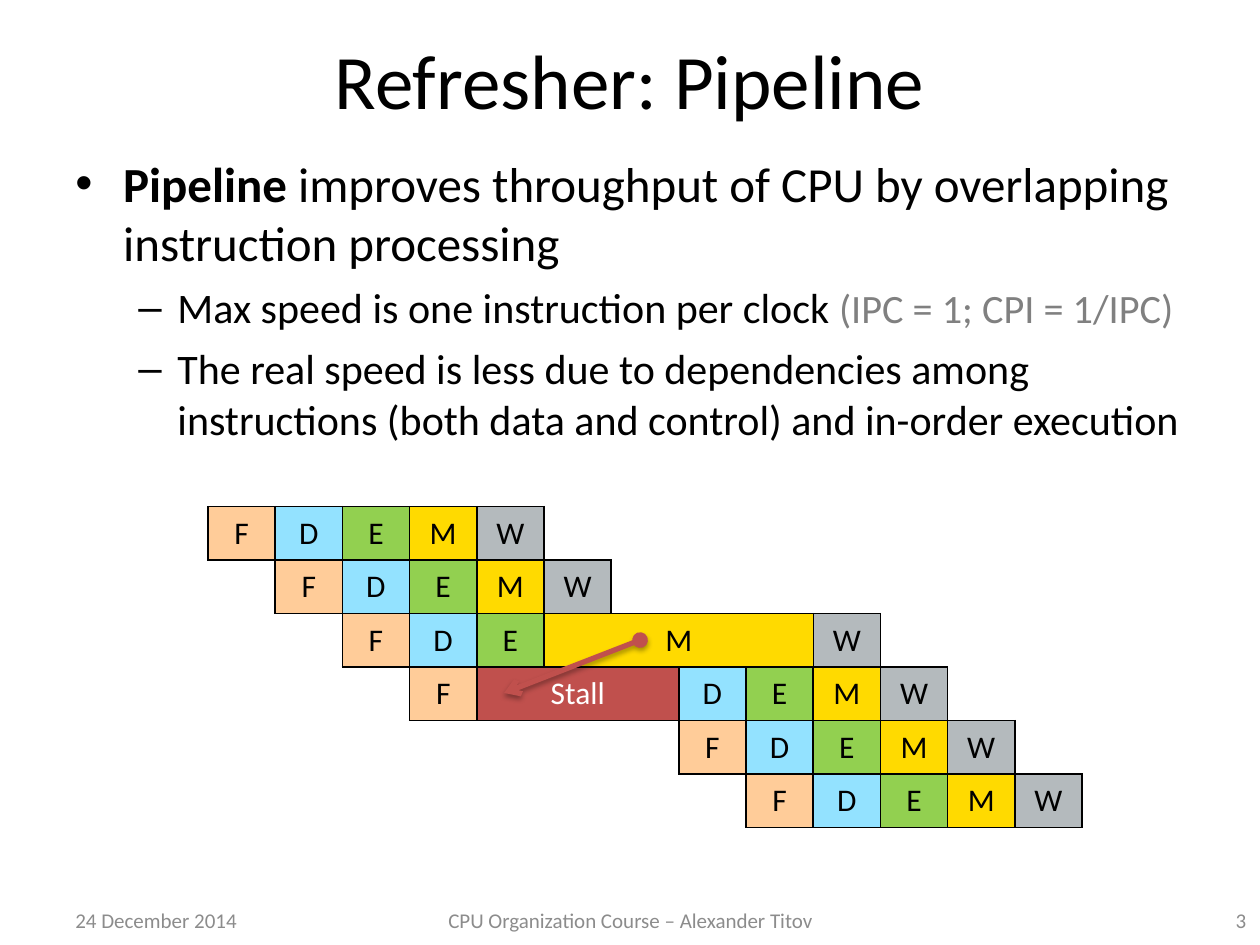
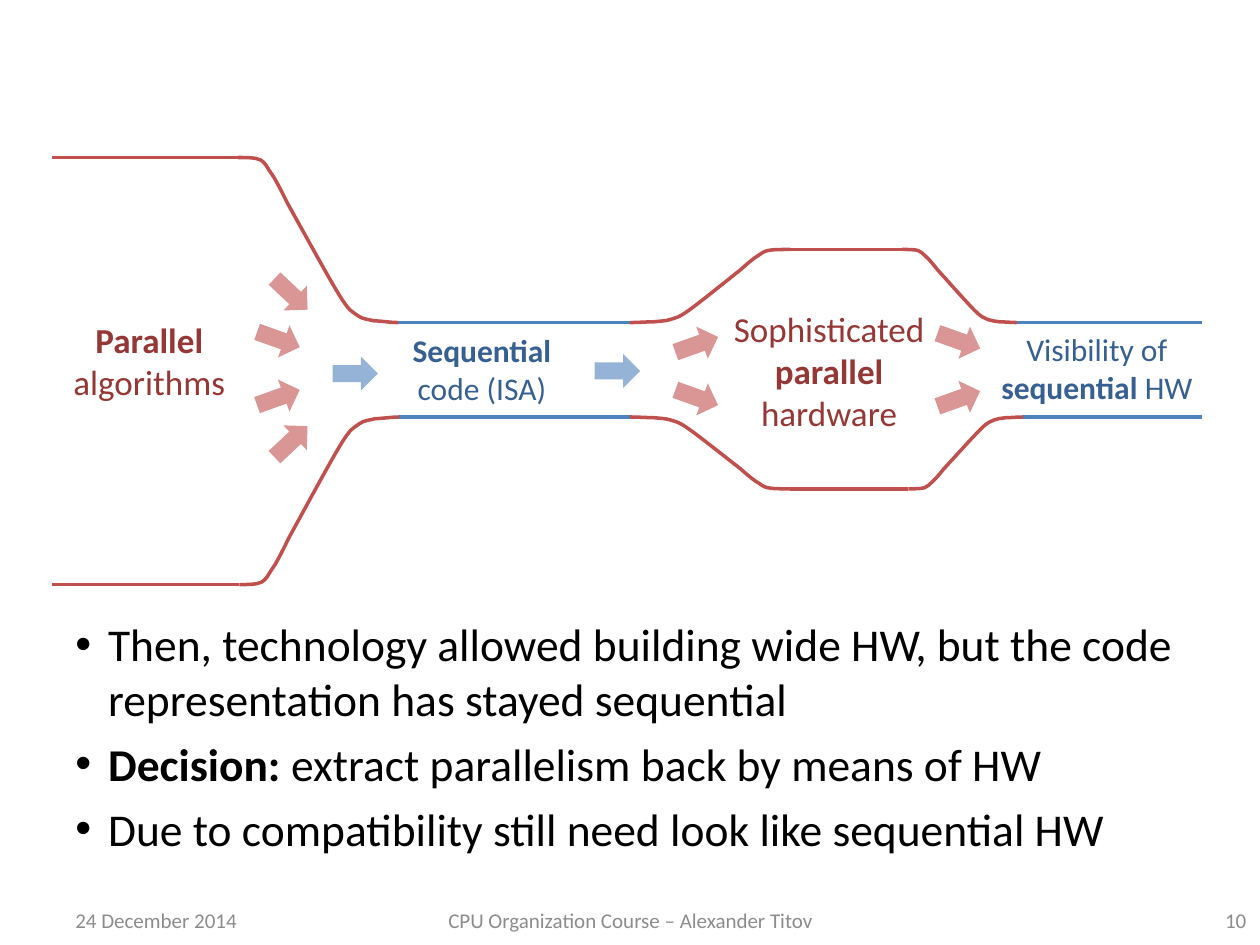
from lxml.etree import SubElement
from pptx import Presentation
from pptx.dml.color import RGBColor
from pptx.enum.shapes import MSO_CONNECTOR, MSO_SHAPE
from pptx.enum.text import MSO_ANCHOR, PP_ALIGN
from pptx.oxml import parse_xml
from pptx.oxml.ns import nsdecls, qn
from pptx.util import Inches, Pt

FONT = "Calibri"
BLACK, WHITE, GRAY, FOOTER_GRAY = "000000", "FFFFFF", "808080", "8C8C8C"
RED, DARK_RED, LIGHT_RED = "C0504D", "953735", "D99694"
BLUE, DARK_BLUE, LIGHT_BLUE = "4F81BD", "376092", "95B3D7"
NO_STYLE = "{2D5ABB26-0587-4C30-8999-92F81FD0307C}"
BOLD = {"bold": True}

STAGES = {
    "F": ("F", "FFCC99", BLACK),
    "D": ("D", "93E2FF", BLACK),
    "E": ("E", "92D050", BLACK),
    "M": ("M", "FFDA00", BLACK),
    "W": ("W", "B4BABD", BLACK),
    "S": ("Stall", RED, WHITE),
}
CLOCKS, INSTRUCTIONS = 13, 6
PIPELINE_TABLES = [
    (0, 0, (1,) * 10, ["FDEMW....-", ".FDEMW....", ".-FDE....."]),
    (3, 3, (1,) * 4, ["FS--", "....", "...."]),
    (7, 3, (1,) * 6, ["DEMW..", "FDEMW.", ".FDEMW"]),
    (5, 2, (4, 1), ["MW"]),
]
BEND = [
    (0, 0), (.055, 0), (.11, 0), (.14, .015), (.17, .03), (.18, .06), (.21, .1),
    (.24, .14), (.31, .28), (.31, .28), (.38, .4), (.56, .72), (.63, .83),
    (.7, .94), (.71, .93), (.75, .96), (.78, .98), (.81, .98), (.85, .99),
    (.89, .99), (.95, 1), (1, 1),
]


def color(value):
    return RGBColor.from_string(value)


def set_bullet(paragraph, symbol, margin, indent):
    properties = paragraph._p.get_or_add_pPr()
    properties.set("marL", str(Inches(margin)))
    properties.set("indent", str(Inches(-indent)))
    SubElement(properties, qn("a:buFont")).set("typeface", "Arial")
    SubElement(properties, qn("a:buChar")).set("char", symbol)


def format_run(run, size, tint, bold=False):
    run.font.name = FONT
    run.font.size = Pt(size)
    run.font.bold = bold
    run.font.color.rgb = color(tint)


def add_runs(paragraph, runs, size, tint):
    for text, changes in runs:
        run = paragraph.add_run()
        run.text = text
        format_run(run, **{"size": size, "tint": tint, **changes})


def add_text(slide, box, paragraphs, size, tint=BLACK, align=PP_ALIGN.LEFT,
             anchor=MSO_ANCHOR.TOP):
    frame = slide.shapes.add_textbox(*map(Inches, box)).text_frame
    frame.word_wrap = True
    frame.vertical_anchor = anchor
    for index, runs in enumerate(paragraphs):
        paragraph = frame.add_paragraph() if index else frame.paragraphs[0]
        paragraph.alignment = align
        add_runs(paragraph, runs, size, tint)
    return frame


def add_bullets(slide, box, items):
    frame = add_text(slide, box, [], 28)
    for index, (runs, size, symbol, margin, indent) in enumerate(items):
        paragraph = frame.add_paragraph() if index else frame.paragraphs[0]
        set_bullet(paragraph, symbol, margin, indent)
        if index:
            paragraph.space_before = Pt(6)
        add_runs(paragraph, runs, size, BLACK)


def add_title(slide, text):
    add_text(slide, (0.5, 0, 9, 1.25), [[(text, {})]], 44,
             align=PP_ALIGN.CENTER, anchor=MSO_ANCHOR.MIDDLE)


def add_footer(slide, number):
    parts = [
        (0.5, 2.33, "24 December 2014", PP_ALIGN.LEFT),
        (3.42, 3.17, "CPU Organization Course – Alexander Titov", PP_ALIGN.CENTER),
        (7.66, 2.33, str(number), PP_ALIGN.RIGHT),
    ]
    for left, width, text, align in parts:
        add_text(slide, (left, 7.1, width, 0.4), [[(text, {})]], 12, FOOTER_GRAY,
                 align, MSO_ANCHOR.MIDDLE)


def add_line(slide, start, end, tint, width):
    line = slide.shapes.add_connector(MSO_CONNECTOR.STRAIGHT,
                                      *map(Inches, (*start, *end)))
    line.line.color.rgb = color(tint)
    line.line.width = Pt(width)
    effects = SubElement(line._element.spPr, qn("a:effectLst"))
    return line, effects


def add_borders(cell):
    properties = cell._tc.get_or_add_tcPr()
    for position, side in enumerate("LRTB"):
        properties.insert(position, parse_xml(
            f'<a:ln{side} {nsdecls("a")} w="{Pt(1)}"><a:solidFill>'
            f'<a:srgbClr val="{BLACK}"/></a:solidFill></a:ln{side}>'))


def fill_stage(cells, stage):
    text, fill, tint = STAGES[stage]
    for cell in cells:
        cell.fill.solid()
        cell.fill.fore_color.rgb = color(fill)
        add_borders(cell)
    cells[0].vertical_anchor = MSO_ANCHOR.MIDDLE
    paragraph = cells[0].text_frame.paragraphs[0]
    paragraph.text = text
    paragraph.alignment = PP_ALIGN.CENTER
    format_run(paragraph.runs[0], 18, tint)


def add_stage_table(slide, left, top, widths, height, lines):
    table = slide.shapes.add_table(
        len(lines), len(widths),
        *map(Inches, (left, top, sum(widths), height * len(lines)))).table
    table.first_row = table.horz_banding = False
    table._tbl.tblPr.find(qn("a:tableStyleId")).text = NO_STYLE
    for column, width in zip(table.columns, widths):
        column.width = Inches(width)
    for row, stages in enumerate(lines):
        table.rows[row].height = Inches(height)
        for column, stage in enumerate(stages):
            if stage == "-":
                continue
            rest = stages[column + 1:]
            span = 1 + len(rest) - len(rest.lstrip("-"))
            cells = [table.cell(row, column + offset) for offset in range(span)]
            if span > 1:
                cells[0].merge(cells[-1])
            if stage in STAGES:
                fill_stage(cells, stage)


def add_pipeline(slide, box):
    left, top, width, height = box
    clock, step = width / CLOCKS, height / INSTRUCTIONS
    for column, row, spans, lines in PIPELINE_TABLES:
        add_stage_table(slide, left + column * clock, top + row * step,
                        [span * clock for span in spans], step, lines)

    arrow, effects = add_line(slide, (left + 3.43, top + 1.06),
                              (left + 2.35, top + 1.48), RED, 3)
    outline = arrow.line._get_or_add_ln()
    SubElement(outline, qn("a:headEnd")).set("type", "oval")
    SubElement(outline, qn("a:tailEnd")).set("type", "arrow")
    effects.append(parse_xml(
        f'<a:outerShdw {nsdecls("a")} blurRad="{Pt(3.1)}" dist="{Pt(1.8)}" '
        f'dir="5400000" rotWithShape="0"><a:srgbClr val="{BLACK}">'
        '<a:alpha val="35000"/></a:srgbClr></a:outerShdw>'))


def curve_segments(shape):
    outline = next(shape._element.iter(qn("a:path")))
    segments = outline.findall(qn("a:lnTo"))
    for first in range(0, len(segments), 3):
        curve = SubElement(outline, qn("a:cubicBezTo"))
        for segment in segments[first:first + 3]:
            curve.append(segment[0])
            outline.remove(segment)


def add_bend(slide, wide, narrow):
    points = [(Inches(wide[0] + u * (narrow[0] - wide[0])),
               Inches(wide[1] + v * (narrow[1] - wide[1]))) for u, v in BEND]
    builder = slide.shapes.build_freeform(*points[0])
    builder.add_line_segments(points[1:], close=False)
    shape = builder.convert_to_shape()
    curve_segments(shape)
    shape.shadow.inherit = False
    shape.fill.background()
    shape.line.color.rgb = color(RED)
    shape.line.width = Pt(2)


def add_wall(slide, left, top, stops, algorithms, code, hardware):
    levels = (algorithms, algorithms, code, code, hardware, hardware, code, code)
    points = [(left + x, top + y) for x, y in zip(stops, levels)]
    for index, tint in zip((0, 2, 4, 6), (RED, BLUE, RED, BLUE)):
        add_line(slide, points[index], points[index + 1], tint, 2)
    for wide, narrow in ((1, 2), (4, 3), (5, 6)):
        add_bend(slide, points[wide], points[narrow])


def add_flow_arrow(slide, left, top, angle, tint):
    arrow = slide.shapes.add_shape(MSO_SHAPE.RIGHT_ARROW,
                                   *map(Inches, (left, top, 0.36, 0.27)))
    arrow.shadow.inherit = False
    arrow.rotation = angle
    arrow.fill.solid()
    arrow.fill.fore_color.rgb = color(tint)
    arrow.line.fill.background()


def add_funnel(slide, box):
    left, top, width, height = box
    add_wall(slide, left, top, (0, 1.48, 2.75, 4.59, 5.86, 6.75, 7.66, width),
             0, 1.31, 0.73)
    add_wall(slide, left, top, (0, 1.49, 2.76, 4.59, 5.86, 6.8, 7.71, width),
             height, 2.06, 2.63)
    arrows = [
        (1.72, 0.95, 43.3), (1.62, 1.31, 19.7), (1.62, 1.77, -19.7),
        (1.72, 2.12, -43.3), (2.23, 1.58, 0), (4.31, 1.56, 0),
        (4.94, 1.35, -19.7), (4.94, 1.77, 19.7),
        (7.02, 1.32, 19.7), (7.02, 1.78, -19.7),
    ]
    for x, y, angle in arrows:
        add_flow_arrow(slide, left + x, top + y, angle,
                       LIGHT_RED if angle else LIGHT_BLUE)
    labels = [
        ((-0.09, 1.23, 1.73, 0.77), 20, DARK_RED,
         [[("Parallel ", BOLD), ("algorithms", {})]]),
        ((2.56, 1.33, 1.71, 0.71), 18, DARK_BLUE,
         [[("Sequential", BOLD), (" code (ISA)", {})]]),
        ((5.13, 1.14, 2.08, 1.11), 20, DARK_RED,
         [[("Sophisticated", {})], [("parallel", BOLD)], [("hardware", {})]]),
        ((7.04, 1.32, 2.51, 0.71), 18, DARK_BLUE,
         [[("Visibility of", {})], [("sequential", BOLD), (" HW", {})]]),
    ]
    for (x, y, label_width, label_height), size, tint, paragraphs in labels:
        add_text(slide, (left + x, top + y, label_width, label_height),
                 paragraphs, size, tint, PP_ALIGN.CENTER)


def build_pipeline_slide(slide):
    add_title(slide, "Refresher: Pipeline")
    add_bullets(slide, (0.5, 1.17, 9, 4.95), [
        ([("Pipeline", BOLD),
          (" improves throughput of CPU by overlapping instruction processing", {})],
         28, "•", 0.38, 0.38),
        ([("Max speed is one instruction per clock ", {}),
          ("(IPC = 1; CPI = 1/IPC)", {"size": 23, "tint": GRAY})],
         24, "–", 0.81, 0.31),
        ([("The real speed is less due to dependencies among instructions "
           "(both data and control) and in-order execution", {})],
         24, "–", 0.81, 0.31),
    ])
    add_pipeline(slide, (1.65, 4.02, 6.94, 2.55))
    add_footer(slide, 3)


def build_funnel_slide(slide):
    add_funnel(slide, (0.41, 1.25, 9.13, 3.39))
    items = [
        [("Then, technology allowed building wide HW, but the code "
          "representation has stayed sequential", {})],
        [("Decision: ", BOLD), ("extract parallelism back by means of HW", {})],
        [("Due to compatibility still need look like sequential HW", {})],
    ]
    add_bullets(slide, (0.5, 4.84, 9, 2.01),
                [(runs, 26, "•", 0.26, 0.26) for runs in items])
    add_footer(slide, 10)


def main():
    presentation = Presentation()
    presentation.slide_width = Inches(10)
    presentation.slide_height = Inches(7.5)
    for build in (build_pipeline_slide, build_funnel_slide):
        build(presentation.slides.add_slide(presentation.slide_layouts[6]))
    presentation.save("out.pptx")


if __name__ == "__main__":
    main()
